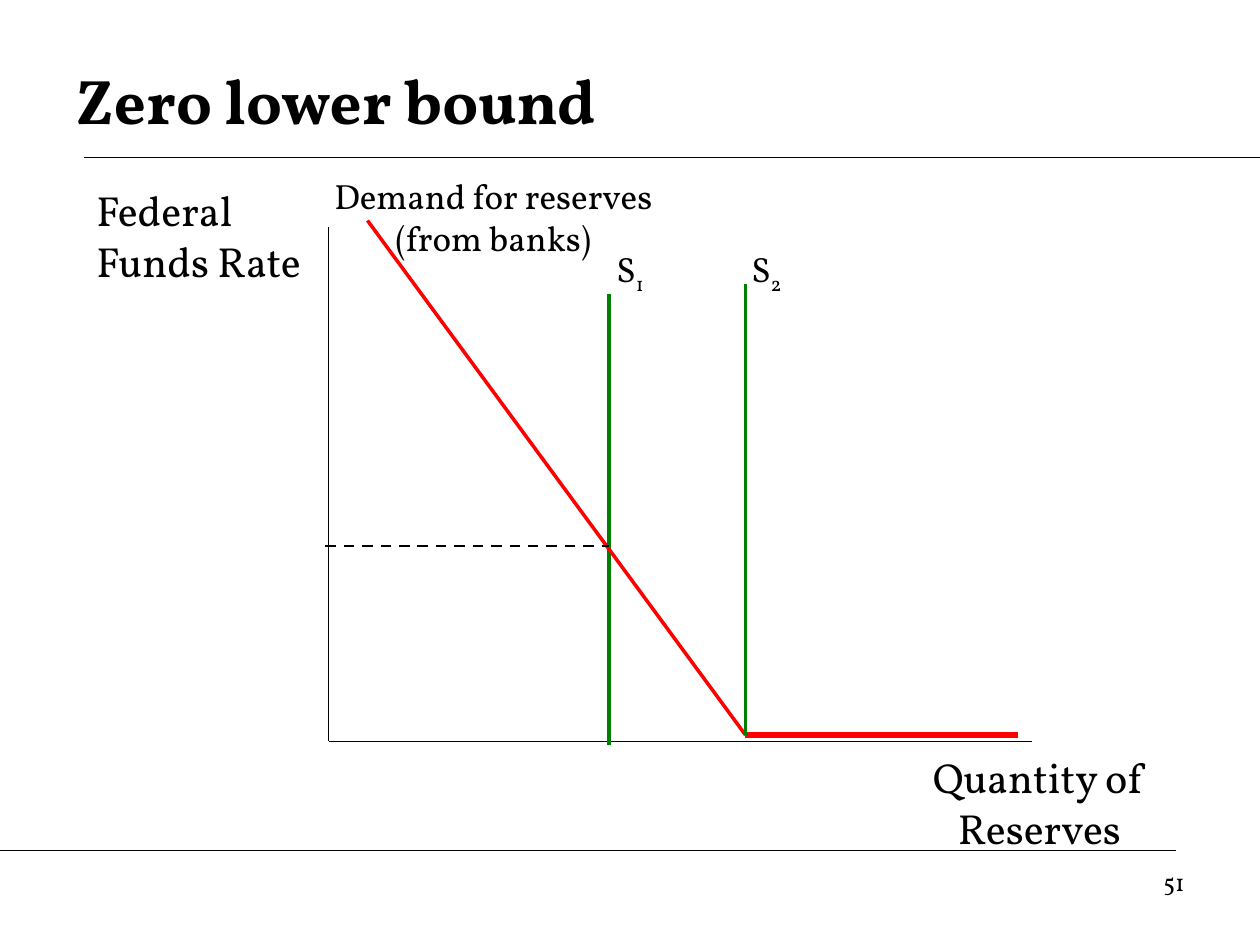
from lxml import etree
from pptx import Presentation
from pptx.dml.color import RGBColor
from pptx.enum.dml import MSO_LINE
from pptx.enum.shapes import MSO_CONNECTOR
from pptx.enum.text import MSO_ANCHOR, PP_ALIGN
from pptx.oxml.ns import qn
from pptx.util import Inches, Pt

LEFT, CENTER, RIGHT = PP_ALIGN.LEFT, PP_ALIGN.CENTER, PP_ALIGN.RIGHT
MIDDLE = MSO_ANCHOR.MIDDLE
STRAIGHT = MSO_CONNECTOR.STRAIGHT
DASH = MSO_LINE.DASH

FONT = "Vollkorn"
BLACK, RED, GREEN = "000000", "FF0000", "008000"
WIDTH, HEIGHT = Inches(10), Inches(7.5)
COLUMNS, ROWS = 120, 90


def color(hex_value):
    return RGBColor.from_string(hex_value)


def grid(column, row):
    """Turn grid columns and rows into slide lengths."""
    return round(column * WIDTH / COLUMNS), round(row * HEIGHT / ROWS)


def style_run(run, size, bold=False):
    for key, value in {"name": FONT, "size": Pt(size), "bold": bold}.items():
        setattr(run.font, key, value)
    run.font.color.rgb = color(BLACK)


def add_line(slide, origin, start, end, hue=BLACK, weight=0.75, dash=None):
    """Draw a line between two grid points counted from origin."""
    left, top = origin
    line = slide.shapes.add_connector(
        STRAIGHT,
        *grid(left + start[0], top + start[1]),
        *grid(left + end[0], top + end[1]),
    )
    line.line.color.rgb = color(hue)
    line.line.width = Pt(weight)
    if dash:
        line.line.dash_style = dash
    etree.SubElement(line._element.spPr, qn("a:effectLst"))


def add_label(slide, origin, box, lines, size, align=CENTER, subscript=None):
    """Write lines in a grid box counted from origin."""
    left, top, width, height = box
    label = slide.shapes.add_textbox(
        *grid(origin[0] + left, origin[1] + top), *grid(width, height)
    )
    label.text_frame.word_wrap = True
    paragraph = label.text_frame.paragraphs[0]
    paragraph.alignment = align
    for index, line in enumerate(lines):
        if index:
            paragraph.add_line_break()
        run = paragraph.add_run()
        run.text = line
        style_run(run, size)
    if subscript:
        run = paragraph.add_run()
        run.text = subscript
        style_run(run, size)
        run._r.get_or_add_rPr().set("baseline", "-25000")


def add_header(slide, box, text):
    left, top, width, height = box
    title = slide.shapes.title
    title.left, title.top = grid(left, top)
    title.width, title.height = grid(width, height)
    title.text_frame.vertical_anchor = MIDDLE
    paragraph = title.text_frame.paragraphs[0]
    paragraph.alignment = LEFT
    run = paragraph.add_run()
    run.text = text
    style_run(run, 36, bold=True)
    add_line(slide, (left, top), (2, height), (COLUMNS - left, height))


def add_reserves_market(slide, origin):
    """Draw the demand and supply curves, with the axes and labels."""
    axis, floor, axis_end = 23.3, 54.6, 90.3
    first_supply, kink, zero_rate = 50, 63, 54
    funds_rate = 36

    add_line(slide, origin, (axis, 5.6), (axis, floor))
    add_line(slide, origin, (axis, floor), (axis_end, floor))
    add_line(slide, origin, (first_supply, 55), (first_supply, 12), GREEN, 2)
    add_line(slide, origin, (27, 5), (kink, zero_rate), RED, 2)
    add_line(slide, origin, (23, funds_rate), (first_supply, funds_rate),
             weight=1.5, dash=DASH)
    add_line(slide, origin, (kink, zero_rate), (89, zero_rate), RED, 3)
    add_line(slide, origin, (kink, zero_rate), (kink, 11), GREEN, 2)

    add_label(slide, origin, (0, 1, 28, 10.8), ["Federal", "Funds Rate"], 24, LEFT)
    add_label(slide, origin, (73, 55, 36, 10.8), ["Quantity of Reserves"], 24)
    add_label(slide, origin, (21, 0, 36, 9.2),
              ["Demand for reserves", "(from banks)"], 20)
    for supply, number in ((first_supply, "1"), (kink, "2")):
        add_label(slide, origin, (supply - 3, 7, 10, 5.2), ["S"], 20,
                  subscript=number)


def add_footer(slide, origin, page):
    add_line(slide, origin, (0, 0), (112, 0))
    add_label(slide, origin, (86, 1, 28, 6.2), [page], 14, RIGHT)


def main():
    deck = Presentation()
    deck.slide_width, deck.slide_height = WIDTH, HEIGHT
    slide = deck.slides.add_slide(deck.slide_layouts[5])
    add_header(slide, (6, 4, 108, 11), "Zero lower bound")
    add_reserves_market(slide, (8, 16))
    add_footer(slide, (0, 81), "51")
    deck.save("out.pptx")


if __name__ == "__main__":
    main()
